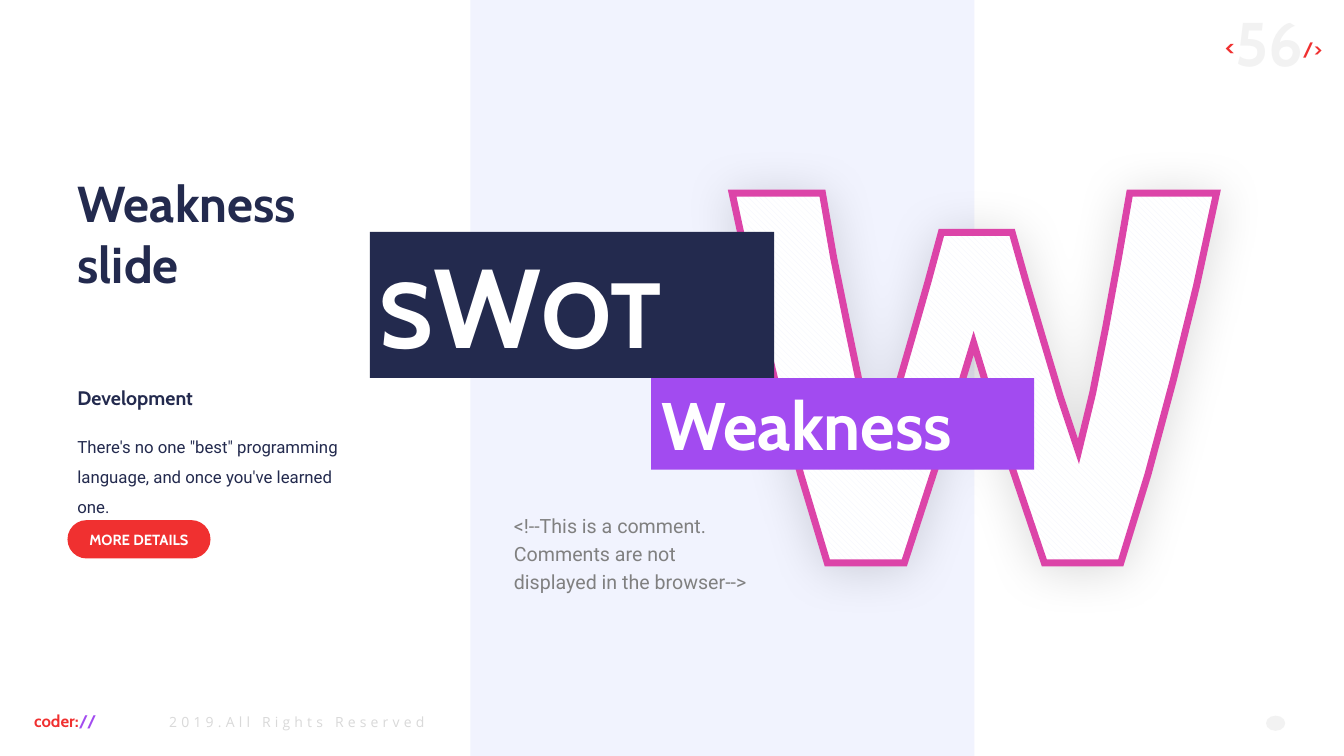
"""Build the weakness slide of a SWOT deck."""
from dataclasses import dataclass

from lxml import etree
from pptx import Presentation
from pptx import util as u
from pptx.dml.color import RGBColor
from pptx.enum import dml, shapes, text
from pptx.oxml import parse_xml
from pptx.oxml.ns import nsdecls, qn


@dataclass(frozen=True)
class Theme:
    navy: str = "232A4E"
    purple: str = "A24BF0"
    red: str = "F03030"
    pink: str = "DC44A8"
    pale: str = "F1F3FE"
    white: str = "FFFFFF"
    faint: str = "F2F2F2"
    silver: str = "D9D9D9"
    grey: str = "808080"
    heading: str = "Cabin"
    body: str = "Roboto"
    footer: str = "Open Sans"
    giant: float = 80
    huge: float = 66
    banner: float = 48
    number: float = 44
    title: float = 36
    open_tag: float = 28
    close_tag: float = 24
    subtitle: float = 14
    normal: float = 12
    button: float = 10.5
    small: float = 10


LETTER_W = [
    (523, 138), (587.5, 138), (595.5, 184), (605.5, 233), (615.5, 281), (625.7, 322.5),
    (639.4, 283), (651.6, 241), (663, 201), (672.5, 166), (723, 166), (733, 201.5),
    (745, 242), (757.4, 283.5), (770.4, 322.5), (780.5, 281), (790, 233), (799, 184),
    (807, 138), (869, 138), (854.6, 204.7), (838, 272), (820, 339), (800.6, 402),
    (746, 402), (720, 325.4), (695.5, 245), (671, 325.4), (646, 402), (591, 402),
    (572, 339), (553.7, 272), (537.4, 204.7),
]


class SlideBuilder:
    """Draw themed elements on one slide, with lengths in points."""

    def __init__(self, slide, theme):
        self.slide = slide
        self.theme = theme

    def box(self, left, top, width, height, color, kind=shapes.MSO_SHAPE.RECTANGLE):
        shape = self.slide.shapes.add_shape(
            kind, u.Pt(left), u.Pt(top), u.Pt(width), u.Pt(height))
        shape.shadow.inherit = False
        shape.fill.solid()
        shape.fill.fore_color.rgb = RGBColor.from_string(color)
        shape.line.fill.background()
        return shape

    def label(self, left, top, width, height, *paragraphs, **style):
        shape = self.slide.shapes.add_textbox(
            u.Pt(left), u.Pt(top), u.Pt(width), u.Pt(height))
        self.fill_text(shape, *paragraphs, **style)

    def fill_text(self, shape, *paragraphs, font=None, bold=True, spacing=None, tracking=0,
                  align=text.PP_ALIGN.LEFT, anchor=text.MSO_ANCHOR.TOP, wrap=True, grow=True):
        """Fill a shape with paragraphs of (words, size, colour, baseline) runs."""
        frame = shape.text_frame
        frame.word_wrap = wrap
        frame.vertical_anchor = anchor
        if grow:
            frame.auto_size = text.MSO_AUTO_SIZE.SHAPE_TO_FIT_TEXT
        for index, pieces in enumerate(paragraphs):
            paragraph = frame.add_paragraph() if index else frame.paragraphs[0]
            paragraph.alignment = align
            if spacing:
                paragraph.line_spacing = spacing
            for words, size, color, *baseline in pieces:
                run = paragraph.add_run()
                run.text = words
                run.font.name = font or self.theme.heading
                run.font.size = u.Pt(size)
                run.font.bold = bold
                run.font.color.rgb = RGBColor.from_string(color)
                properties = run._r.get_or_add_rPr()
                if baseline:
                    properties.set("baseline", str(baseline[0] * 1000))
                if tracking:
                    properties.set("spc", str(tracking * 100))

    def letter(self, points):
        """Draw a patterned, outlined letter with a soft shadow."""
        theme = self.theme
        builder = self.slide.shapes.build_freeform(
            u.Pt(points[0][0]), u.Pt(points[0][1]))
        builder.add_line_segments([(u.Pt(x), u.Pt(y)) for x, y in points[1:]], close=True)
        shape = builder.convert_to_shape()
        shape.fill.patterned()
        shape.fill.pattern = dml.MSO_PATTERN.WIDE_DOWNWARD_DIAGONAL
        shape.fill.fore_color.rgb = RGBColor.from_string(theme.pale)
        shape.fill.back_color.rgb = RGBColor.from_string(theme.white)
        shape.line.color.rgb = RGBColor.from_string(theme.pink)
        shape.line.width = u.Pt(5)
        properties = shape._element.spPr
        etree.SubElement(properties.find(qn("a:ln")), qn("a:miter"), lim="800000")
        properties.append(parse_xml(
            f'<a:effectLst {nsdecls("a")}><a:outerShdw blurRad="{u.Pt(35)}" '
            f'dist="{u.Pt(3)}" dir="5400000" algn="t" rotWithShape="0">'
            '<a:srgbClr val="000000"><a:alpha val="15000"/></a:srgbClr>'
            '</a:outerShdw></a:effectLst>'))


def main():
    presentation = Presentation()
    presentation.slide_width, presentation.slide_height = u.Pt(960), u.Pt(540)
    theme = Theme()
    page = SlideBuilder(presentation.slides.add_slide(presentation.slide_layouts[6]), theme)

    page.label(768, 0, 183.6, 60.5,
               [("<", theme.open_tag, theme.red, 30), ("56", theme.number, theme.faint),
                ("/>", theme.close_tag, theme.red, 30)],
               align=text.PP_ALIGN.RIGHT, anchor=text.MSO_ANCHOR.MIDDLE)
    page.label(113.8, 506, 198.7, 19.4,
               [("2019.All Rights Reserved", theme.small, theme.silver)],
               font=theme.footer, bold=False, tracking=3, wrap=False)
    page.label(17.3, 504, 61.2, 21.6,
               [("coder:", theme.normal, theme.red), ("//", theme.normal, theme.purple)],
               wrap=False)
    page.box(904.3, 511.2, 13.7, 10.8, theme.faint, shapes.MSO_SHAPE.OVAL)

    page.box(336, 0, 360, 540, theme.pale)
    page.letter(LETTER_W)
    swot = page.box(264.2, 165.6, 288.7, 104.4, theme.navy)
    page.fill_text(swot, [("S", theme.huge, theme.white), ("W", theme.giant, theme.white),
                          ("OT", theme.huge, theme.white)])
    weakness = page.box(465.1, 270, 273.6, 65.5, theme.purple)
    page.fill_text(weakness, [("Weakness", theme.banner, theme.white)])
    page.label(360, 360, 192.2, 66.2,
               [("<!--This is a comment. Comments are not displayed in the browser-->",
                 theme.subtitle, theme.grey)],
               font=theme.body, bold=False, spacing=1.2)

    page.label(48.2, 119.5, 195.8, 94.3,
               *[[(line, theme.title, theme.navy)] for line in ("Weakness", "slide")])
    button = page.box(48.2, 371.5, 102.2, 27.4, theme.red,
                      shapes.MSO_SHAPE.ROUNDED_RECTANGLE)
    button.adjustments[0] = 0.5
    page.fill_text(button, [("MORE DETAILS", theme.button, theme.white)],
                   align=text.PP_ALIGN.CENTER, anchor=text.MSO_ANCHOR.MIDDLE, grow=False)
    page.label(48.2, 267.1, 113, 26.6, [("Development", theme.subtitle, theme.navy)],
               spacing=1.3)
    page.label(48.2, 301, 219.6, 48.2,
               [("There's no one \"best\" programming language, and once you've learned one.",
                 theme.normal, theme.navy)],
               font=theme.body, bold=False, spacing=1.5)
    presentation.save("out.pptx")


if __name__ == "__main__":
    main()
